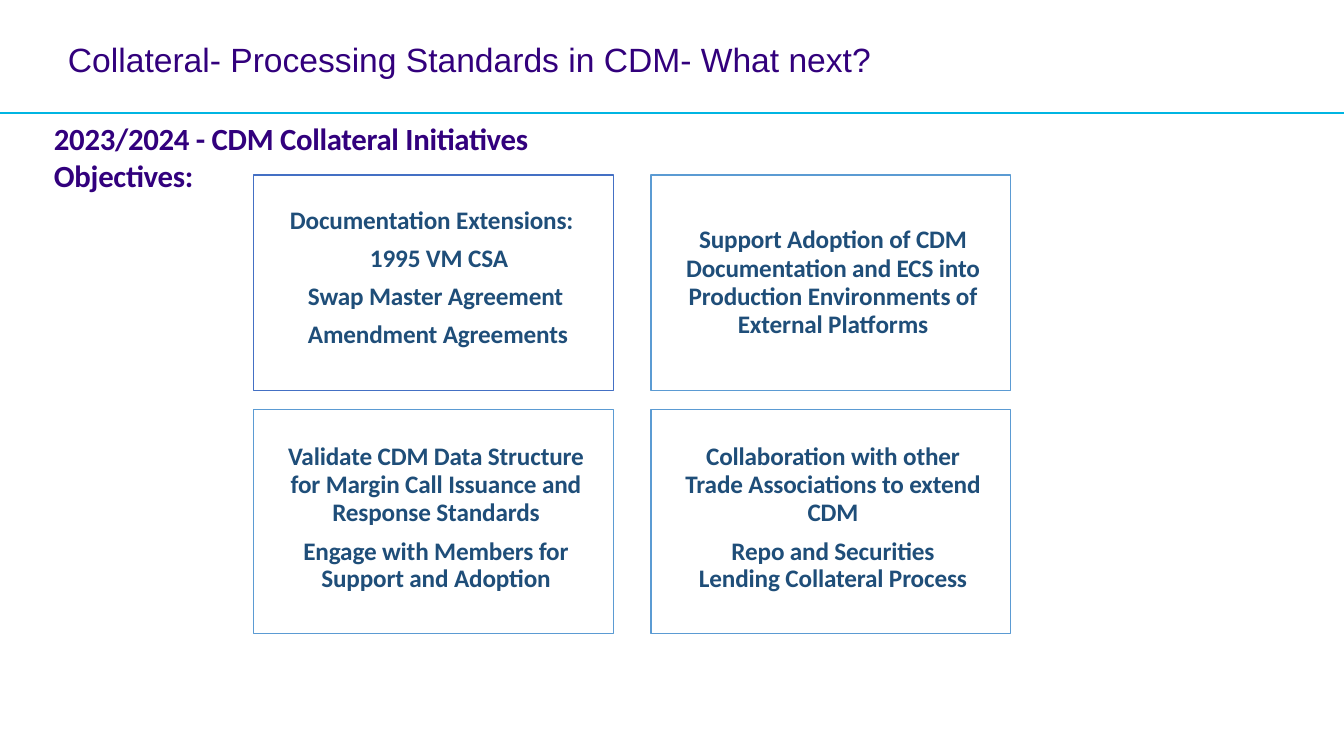
import pptx
import pptx.util
import pptx.dml.color
import pptx.enum.shapes
import pptx.enum.text
import lxml.etree

EMU_PER_PX = 914400 / 100.8
COLORS = {"title": "32007C", "heading": "32007D", "body": "1F4E79",
          "rule": "00B5E2", "first": "4470C4", "box": "5B9BD3"}
TITLE = "Collateral- Processing Standards in CDM- What next?"
HEADING = "2023/2024 - CDM Collateral Initiatives Objectives:"
COLUMNS, BOX_WIDTH = (254, 651), 360
ROWS = ((175, 216), (410, 224))
BOXES = [
    {"line": "first", "top": 21, "pitch": 27.2, "indents": (36, 116, 54, 54),
     "text": ["Documentation Extensions:", "1995 VM CSA",
              "Swap Master Agreement", "Amendment Agreements"]},
    {"line": "box", "top": 51, "pitch": 20,
     "text": ["Support Adoption of CDM\vDocumentation and ECS into\v"
              "Production Environments of\vExternal Platforms"]},
    {"line": "box", "top": 33, "pitch": 19.8,
     "text": ["Validate CDM Data Structure\vfor Margin Call Issuance and\v"
              "Response Standards",
              "Engage with Members for\vSupport and Adoption"]},
    {"line": "box", "top": 33, "pitch": 19.8,
     "text": ["Collaboration with other\vTrade Associations to extend\vCDM",
              "Repo and Securities\vLending Collateral Process"]},
]


def px(n):
    return pptx.util.Emu(round(n * EMU_PER_PX))


def rgb(name):
    return pptx.dml.color.RGBColor.from_string(COLORS[name])


def set_frame(tf, left=0, top=0, anchor="TOP"):
    tf.word_wrap = True
    tf.margin_left, tf.margin_top = px(left), px(top)
    tf.margin_right = tf.margin_bottom = 0
    tf.vertical_anchor = getattr(pptx.enum.text.MSO_ANCHOR, anchor)


def style(p, font, size, color, bold=False, spacing=0):
    for r in p.runs:
        r.font.name, r.font.size = font, pptx.util.Pt(size)
        r.font.bold = bold
        r.font.color.rgb = rgb(color)
        r._r.get_or_add_rPr().set("spc", str(spacing))


def add_text(slide, box, text, anchor, *look):
    tf = slide.shapes.add_textbox(*map(px, box)).text_frame
    set_frame(tf, anchor=anchor)
    tf.text = text
    style(tf.paragraphs[0], *look)


def add_box(slide, x, y, w, h, box):
    sp = slide.shapes.add_shape(pptx.enum.shapes.MSO_SHAPE.RECTANGLE,
                                *map(px, (x, y, w, h)))
    sp.shadow.inherit = False
    sp.fill.background()
    sp.line.color.rgb = rgb(box["line"])
    sp.line.width = pptx.util.Pt(0.75)
    tf = sp.text_frame
    indents = box.get("indents")
    set_frame(tf, 0 if indents else 4, box["top"])
    for i, text in enumerate(box["text"]):
        p = tf.paragraphs[0] if i == 0 else tf.add_paragraph()
        p.text = text
        p.line_spacing = pptx.util.Pt(box["pitch"])
        if indents:
            p.alignment = pptx.enum.text.PP_ALIGN.LEFT
            p._p.get_or_add_pPr().set("marL", str(px(indents[i])))
        else:
            p.alignment = pptx.enum.text.PP_ALIGN.CENTER
            if i:
                p.space_before = pptx.util.Pt(8)
        style(p, "Calibri", 18, "body", True, -10)


def main():
    prs = pptx.Presentation()
    prs.slide_width, prs.slide_height = px(1344), px(756)
    slide = prs.slides.add_slide(prs.slide_layouts[6])
    add_text(slide, (68, 11, 939, 96), TITLE, "MIDDLE", "Arial", 24, "title")
    rule = slide.shapes.add_connector(pptx.enum.shapes.MSO_CONNECTOR.STRAIGHT,
                                      *map(px, (0, 113, 1344, 113)))
    rule.line.color.rgb = rgb("rule")
    rule.line.width = pptx.util.Pt(1)
    lxml.etree.SubElement(rule._element.spPr,
                          pptx.oxml.ns.qn("a:effectLst"))
    add_text(slide, (54, 120, 556, 75), HEADING, "TOP",
             "Calibri", 22, "heading", True, -20)
    for i, box in enumerate(BOXES):
        y, h = ROWS[i // 2]
        add_box(slide, COLUMNS[i % 2], y, BOX_WIDTH, h, box)
    prs.save("out.pptx")


if __name__ == "__main__":
    main()
